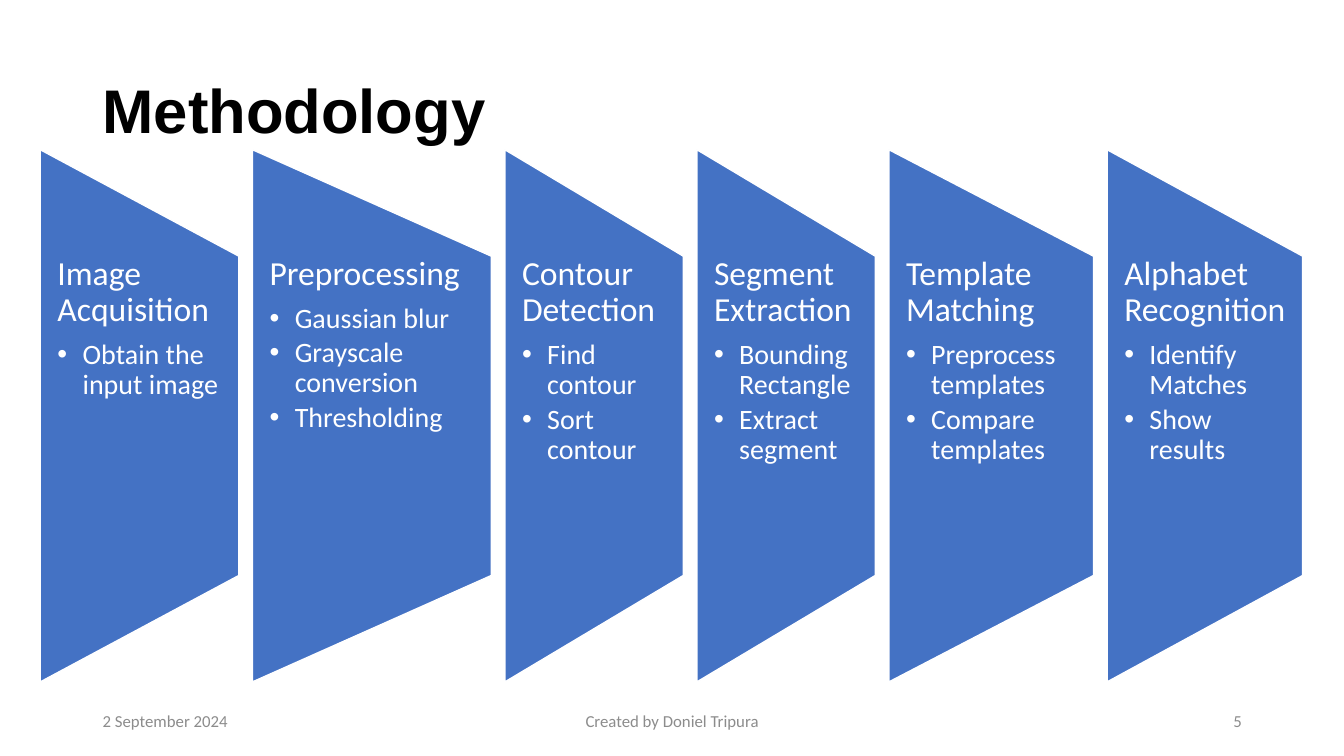
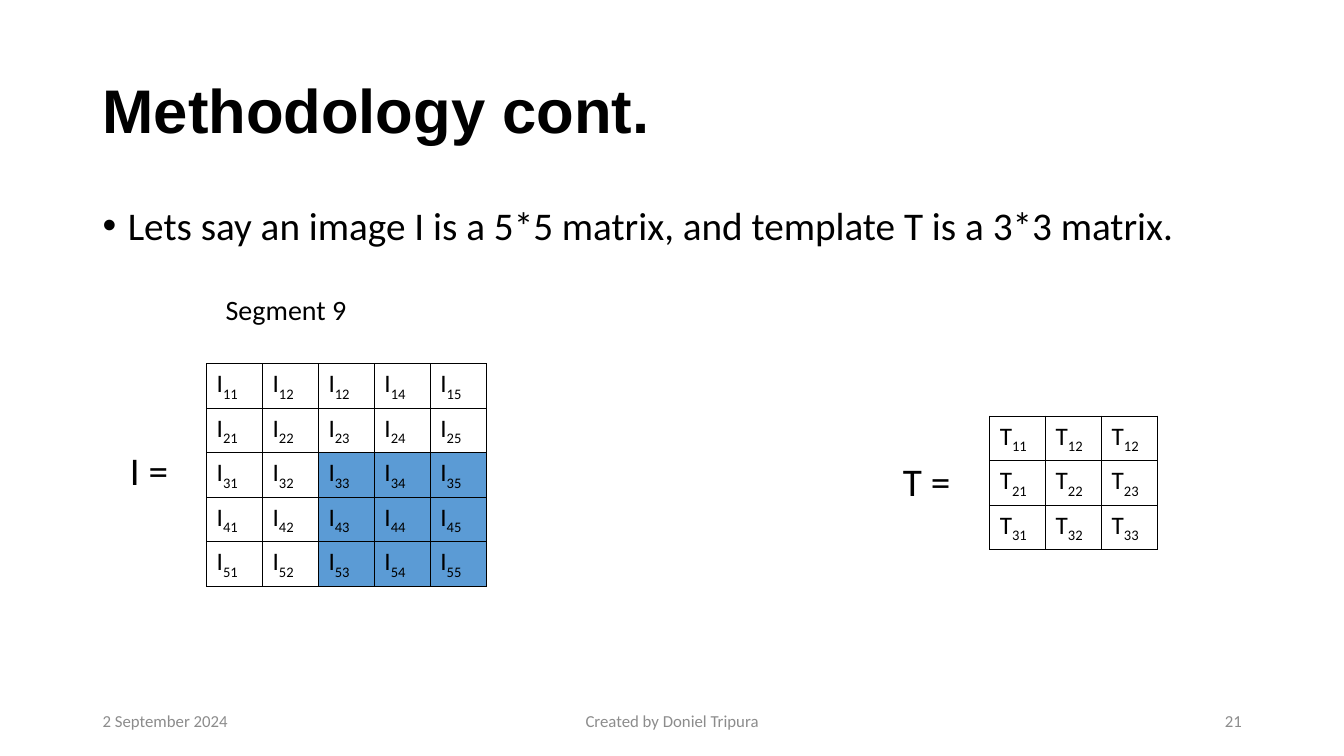
"""Build two methodology slides: a six-step process and a pair of matrices."""
import pptx
import pptx.dml.color
import pptx.enum.shapes
import pptx.enum.text
import pptx.oxml
import pptx.oxml.ns
import pptx.util

RGBColor = pptx.dml.color.RGBColor
Pt = pptx.util.Pt
Align = pptx.enum.text.PP_ALIGN
Anchor = pptx.enum.text.MSO_ANCHOR
qn = pptx.oxml.ns.qn

BLACK = RGBColor(0x00, 0x00, 0x00)
WHITE = RGBColor(0xFF, 0xFF, 0xFF)
GREY = RGBColor(0x8C, 0x8C, 0x8C)
PANEL_BLUE = RGBColor(0x44, 0x72, 0xC4)
MATCH_BLUE = RGBColor(0x5B, 0x9B, 0xD5)

PX = 4572
SLIDE_SIZE = (2667, 1500)
INSETS = (20, 10, 20, 10)
BULLET_INDENT = 50

STEPS = [
    ("Image Acquisition", ["Obtain the input image"], 394),
    ("Preprocessing", ["Gaussian blur", "Grayscale conversion", "Thresholding"], 474),
    ("Contour Detection", ["Find contour", "Sort contour"], 354),
    ("Segment Extraction", ["Bounding Rectangle", "Extract segment"], 354),
    ("Template Matching", ["Preprocess templates", "Compare templates"], 406),
    ("Alphabet Recognition", ["Identify Matches", "Show results"], 388),
]
PANEL_LEFT, PANEL_GAP, PANEL_HEIGHT, PANEL_MIDDLE = 80, 27, 1056, 825
PANEL_TEXT_HEIGHT = 634
PANEL_INSETS = (34, 0, 34, 0)

IMAGE_ROWS = ["11 12 12 14 15", "21 22 23 24 25", "31 32 33 34 35",
              "41 42 43 44 45", "51 52 53 54 55"]
TEMPLATE_ROWS = ["11 12 12", "21 22 23", "31 32 33"]
SEGMENT = {(row, column) for row in range(2, 5) for column in range(2, 5)}
MATRICES = [
    ("I", IMAGE_ROWS, (410, 722), SEGMENT),
    ("T", TEMPLATE_ROWS, (1964, 826), set()),
]
CELL_WIDTH, CELL_HEIGHT = 111, 86
STATEMENT = "Lets say an image I is a 5*5 matrix, and template T is a 3*3 matrix."
LABELS = [
    ("T =", (1772, 898, 168, 114), 28),
    ("I =", (238, 876, 168, 114), 28),
    ("Segment 9", (428, 570, 456, 88), 20),
]

TITLE_AREA = (184, 80, 2300, 290)
BODY_AREA = (184, 400, 2300, 952)
FOOTER_TOP, FOOTER_HEIGHT = 1390, 80
FOOTER_DATE = "2 September 2024"
FOOTER_AUTHOR = "Created by Doniel Tripura"

TITLE_FONT = dict(name="Arial", size=Pt(44), bold=True)
FOOTER_FONT = dict(size=Pt(12))
HEADING_FORMAT = dict(line_spacing=0.9, space_after=Pt(8.4))
ITEM_FORMAT = dict(line_spacing=0.9, space_after=Pt(3))
BODY_FORMAT = dict(line_spacing=0.9, space_before=Pt(10))


def emu(lengths):
    return [round(length * PX) for length in lengths]


def apply(target, values):
    for name, value in values.items():
        setattr(target, name, value)


def add_span(para, text, color, font):
    span = para.add_run()
    span.text = text
    apply(span.font, {"name": "Calibri", **font})
    span.font.color.rgb = color
    return span


def add_box(page, area, anchor=Anchor.TOP, insets=INSETS):
    frame = page.shapes.add_textbox(*emu(area)).text_frame
    left, top, right, bottom = emu(insets)
    apply(frame, dict(word_wrap=True, vertical_anchor=anchor, margin_left=left,
                      margin_top=top, margin_right=right, margin_bottom=bottom))
    return frame


def write(para, text, color, font, layout, bullet=False):
    apply(para, layout)
    if bullet:
        properties = para._p.get_or_add_pPr()
        properties.set("marL", str(BULLET_INDENT * PX))
        properties.set("indent", str(-BULLET_INDENT * PX))
        for tag, name, value in [("a:buFont", "typeface", "Arial"), ("a:buChar", "char", "•")]:
            pptx.oxml.ns.qn(tag)
            mark = pptx.oxml.parse_xml(f"<{tag} {pptx.oxml.ns.nsdecls('a')} {name}='{value}'/>")
            properties.append(mark)
    add_span(para, text, color, font)


def add_page(deck, title, number):
    page = deck.slides.add_slide(deck.slide_layouts[6])
    frame = add_box(page, TITLE_AREA, Anchor.MIDDLE)
    write(frame.paragraphs[0], title, BLACK, TITLE_FONT, dict(line_spacing=0.9))
    for text, left, width, alignment in [
        (FOOTER_DATE, 184, 600, Align.LEFT),
        (FOOTER_AUTHOR, 884, 900, Align.CENTER),
        (str(number), 1884, 600, Align.RIGHT),
    ]:
        frame = add_box(page, (left, FOOTER_TOP, width, FOOTER_HEIGHT), Anchor.MIDDLE)
        write(frame.paragraphs[0], text, GREY, FOOTER_FONT, dict(alignment=alignment))
    return page


def add_panel(page, left, width, heading, items):
    area = (left + (width - PANEL_HEIGHT) / 2, PANEL_MIDDLE - width / 2, PANEL_HEIGHT, width)
    panel = page.shapes.add_shape(
        pptx.enum.shapes.MSO_SHAPE.FLOWCHART_MANUAL_OPERATION, *emu(area))
    panel.rotation = 270
    panel.shadow.inherit = False
    panel.fill.solid()
    panel.fill.fore_color.rgb = PANEL_BLUE
    panel.line.color.rgb = WHITE
    panel.line.width = Pt(1)
    text_top = PANEL_MIDDLE - PANEL_TEXT_HEIGHT / 2
    frame = add_box(page, (left, text_top, width, PANEL_TEXT_HEIGHT), insets=PANEL_INSETS)
    write(frame.paragraphs[0], heading, WHITE, dict(size=Pt(24)), HEADING_FORMAT)
    for item in items:
        write(frame.add_paragraph(), item, WHITE, dict(size=Pt(20)), ITEM_FORMAT, bullet=True)


def add_borders(cell):
    properties = cell._tc.get_or_add_tcPr()
    for side in "LRTB":
        properties.append(pptx.oxml.parse_xml(
            f"<a:ln{side} {pptx.oxml.ns.nsdecls('a')} w='{Pt(1)}'>"
            f"<a:solidFill><a:srgbClr val='{BLACK}'/></a:solidFill></a:ln{side}>"))


def add_matrix(page, letter, rows, corner, highlighted):
    grid = [row.split() for row in rows]
    size = (len(grid[0]) * CELL_WIDTH, len(grid) * CELL_HEIGHT)
    table = page.shapes.add_table(len(grid), len(grid[0]), *emu(corner + size)).table
    apply(table, dict(first_row=False, horz_banding=False))
    for row, indices in enumerate(grid):
        for column, index in enumerate(indices):
            cell = table.cell(row, column)
            add_borders(cell)
            if (row, column) in highlighted:
                cell.fill.solid()
                cell.fill.fore_color.rgb = MATCH_BLUE
            else:
                cell.fill.background()
            para = cell.text_frame.paragraphs[0]
            add_span(para, letter, BLACK, dict(size=Pt(18)))
            subscript = add_span(para, index, BLACK, dict(size=Pt(18)))
            subscript.font._rPr.set("baseline", "-25000")


def build_process(deck):
    page = add_page(deck, "Methodology", 5)
    left = PANEL_LEFT
    for heading, items, width in STEPS:
        add_panel(page, left, width, heading, items)
        left += width + PANEL_GAP


def build_matrices(deck):
    page = add_page(deck, "Methodology cont.", 21)
    body = add_box(page, BODY_AREA)
    write(body.paragraphs[0], STATEMENT, BLACK, dict(size=Pt(28)), BODY_FORMAT, bullet=True)
    for matrix in MATRICES:
        add_matrix(page, *matrix)
    for text, area, size in LABELS:
        write(add_box(page, area).paragraphs[0], text, BLACK, dict(size=Pt(size)), {})


def main():
    deck = pptx.Presentation()
    deck.slide_width, deck.slide_height = emu(SLIDE_SIZE)
    build_process(deck)
    build_matrices(deck)
    deck.save("out.pptx")


if __name__ == "__main__":
    main()
